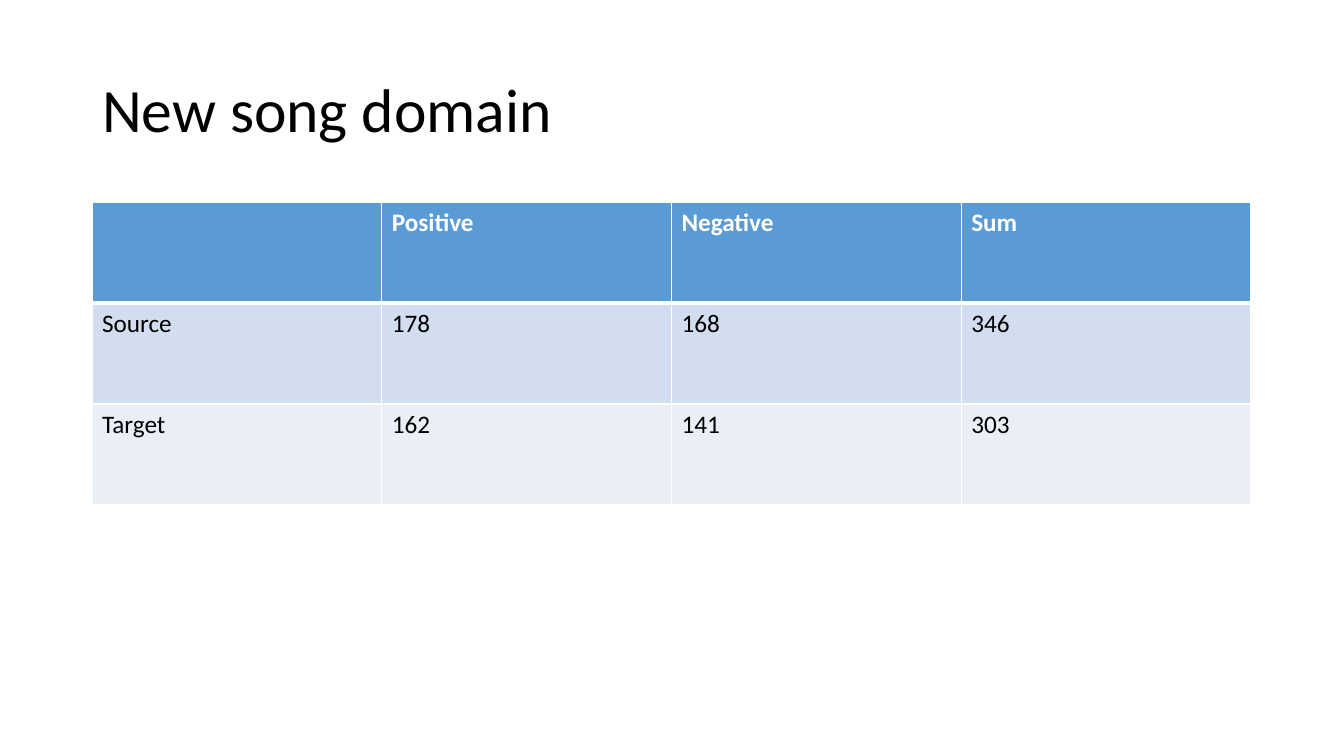
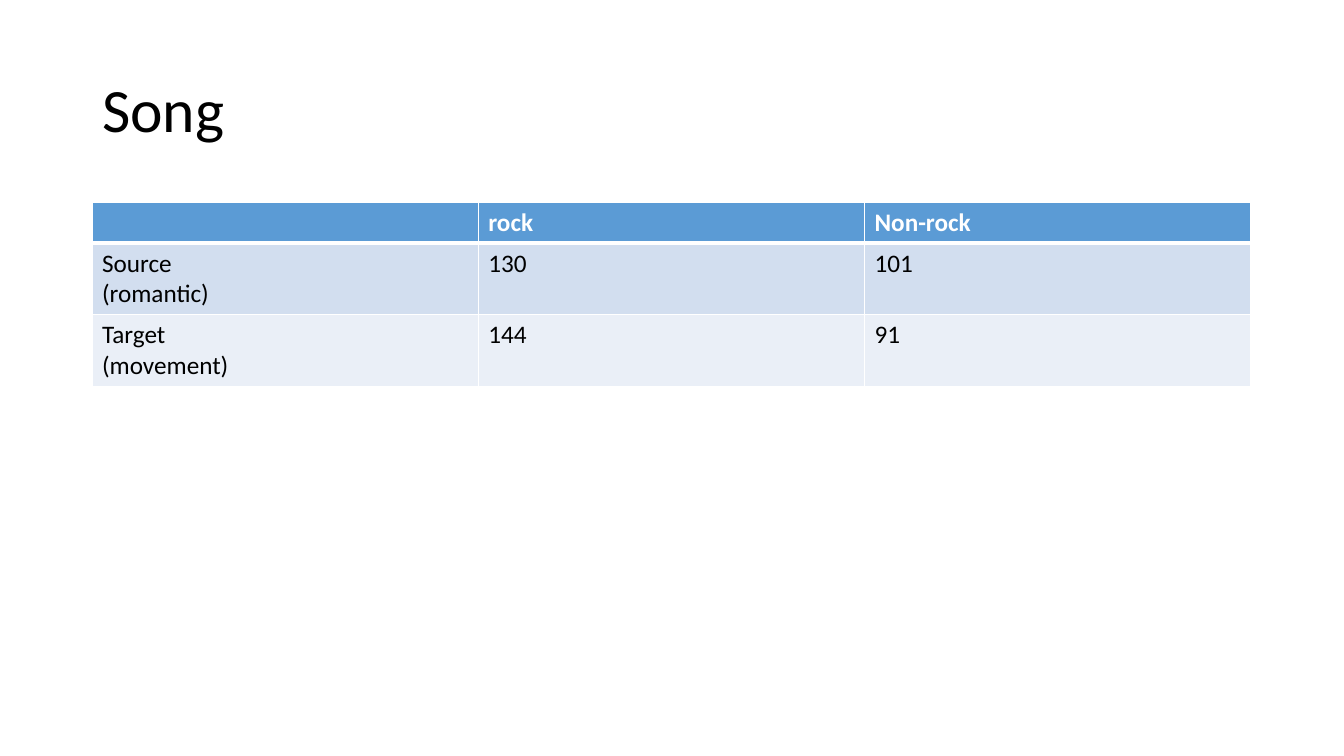
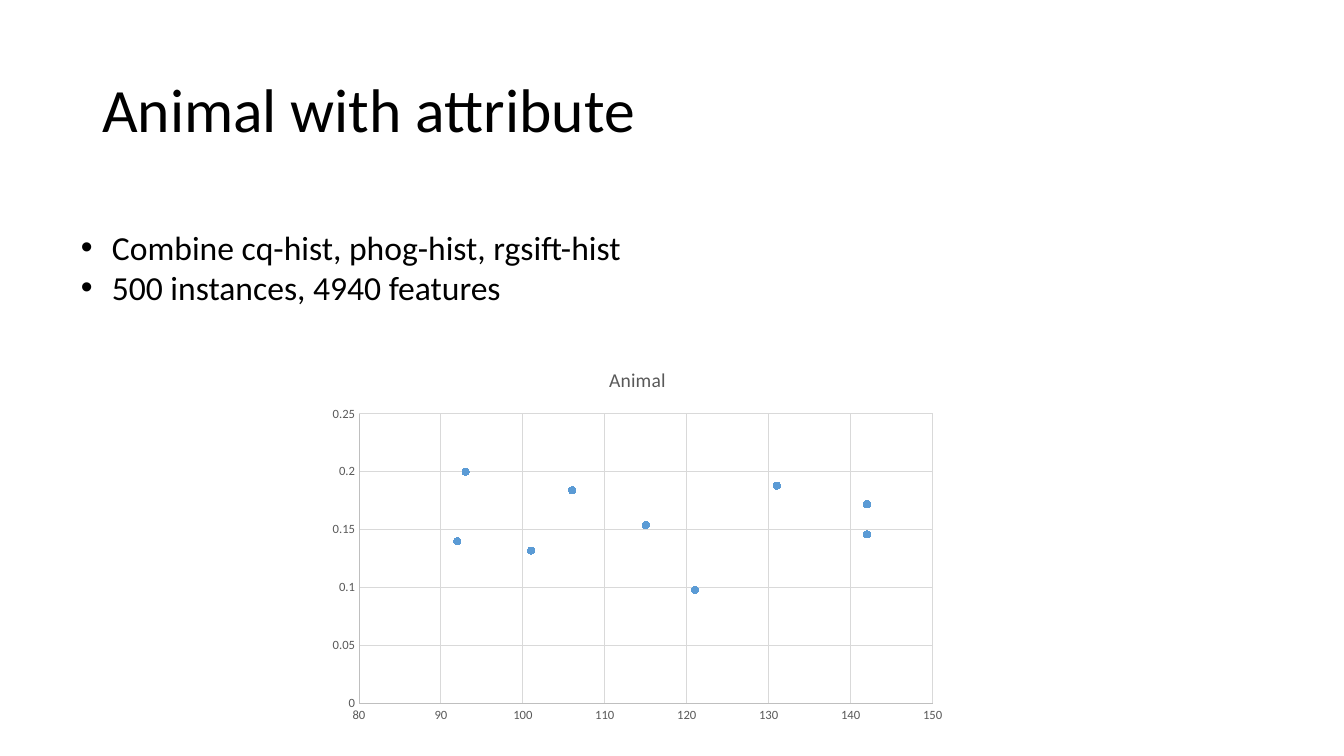
from dataclasses import dataclass
from typing import Any

from lxml.etree import SubElement
from pptx import Presentation
from pptx.chart.axis import _BaseAxis
from pptx.chart.data import XyChartData
from pptx.dml.color import RGBColor
from pptx.enum.chart import XL_CHART_TYPE, XL_MARKER_STYLE, XL_TICK_MARK
from pptx.enum.text import MSO_ANCHOR, MSO_AUTO_SIZE, PP_ALIGN
from pptx.oxml.ns import qn
from pptx.slide import Slide
from pptx.table import _Cell
from pptx.text.text import Font, _Paragraph
from pptx.util import Emu, Pt

EMU_PER_PIXEL = 914400 / 100.8


def px(pixels: float) -> Emu:
    return Emu(round(pixels * EMU_PER_PIXEL))


@dataclass(frozen=True)
class Theme:
    font: str = "Calibri"
    ink: str = "000000"
    paper: str = "FFFFFF"
    accent: str = "5B9BD5"
    bands: tuple[str, str] = ("D2DEEF", "EAEFF7")
    muted: str = "595959"
    axis: str = "BFBFBF"
    grid: str = "D9D9D9"
    title_size: int = 44
    bullet_size: int = 24
    table_size: int = 18
    chart_title_size: int = 14
    tick_size: int = 9
    thin: float = 1
    thick: float = 3
    hairline: float = 0.75


@dataclass(frozen=True)
class Box:
    left: int
    top: int
    width: int
    height: int

    def emu(self) -> tuple[Emu, Emu, Emu, Emu]:
        return px(self.left), px(self.top), px(self.width), px(self.height)


@dataclass(frozen=True)
class CountTable:
    title: str
    row_heights: tuple[int, ...]
    rows: tuple[tuple[str, ...], ...]


THEME = Theme()
TITLE_BOX = Box(92, 40, 1159, 146)
TABLE_LEFT, TABLE_TOP, TABLE_WIDTH = 92, 202, 1159
BULLETS_BOX = Box(71, 222, 566, 92)
BULLET_INDENT = 31
CHART_BOX = Box(320, 350, 635, 380)

COUNT_TABLES = (
    CountTable(
        "New song domain",
        (101, 101, 101),
        (
            ("", "Positive", "Negative", "Sum"),
            ("Source", "178", "168", "346"),
            ("Target", "162", "141", "303"),
        ),
    ),
    CountTable(
        "Song",
        (41, 71, 71),
        (
            ("", "rock", "Non-rock"),
            ("Source\n(romantic)", "130", "101"),
            ("Target\n(movement)", "144", "91"),
        ),
    ),
)
FEATURE_NOTES = ("Combine cq-hist, phog-hist, rgsift-hist", "500 instances, 4940 features")
ANIMAL_POINTS = (
    (115, 0.154), (142, 0.172), (93, 0.2), (142, 0.146), (92, 0.14),
    (106, 0.184), (101, 0.132), (121, 0.098), (131, 0.188),
)


def apply(target: Any, formats: dict[str, Any]) -> None:
    for attribute, value in formats.items():
        setattr(target, attribute, value)


def style_font(font: Font, size: int, color: str, bold: bool = False) -> None:
    apply(font, {"name": THEME.font, "size": Pt(size), "bold": bold})
    font.color.rgb = RGBColor.from_string(color)


def add_titled_slide(deck: Any, title: str) -> Slide:
    slide = deck.slides.add_slide(deck.slide_layouts[5])
    heading = slide.shapes.title
    apply(heading, dict(zip(("left", "top", "width", "height"), TITLE_BOX.emu())))
    frame = heading.text_frame
    frame.text = title
    apply(frame, {"vertical_anchor": MSO_ANCHOR.MIDDLE, "word_wrap": True})
    paragraph = frame.paragraphs[0]
    apply(paragraph, {"alignment": PP_ALIGN.LEFT, "line_spacing": 0.9})
    style_font(paragraph.runs[0].font, THEME.title_size, THEME.ink)
    return slide


def add_borders(cell: _Cell, widths: dict[str, float]) -> None:
    properties = cell._tc.get_or_add_tcPr()
    for side, width in widths.items():
        line = SubElement(properties, qn(f"a:ln{side}"), w=str(Pt(width)))
        fill = SubElement(line, qn("a:solidFill"))
        SubElement(fill, qn("a:srgbClr"), val=THEME.paper)


def style_cell(cell: _Cell, text: str, row: int) -> None:
    header = row == 0
    cell.text = text
    for paragraph in cell.text_frame.paragraphs:
        style_font(paragraph.font, THEME.table_size, THEME.paper if header else THEME.ink, header)
        for run in paragraph.runs:
            style_font(run.font, THEME.table_size, THEME.paper if header else THEME.ink, header)
    add_borders(cell, {
        "L": THEME.thin,
        "R": THEME.thin,
        "T": THEME.thick if row == 1 else THEME.thin,
        "B": THEME.thick if header else THEME.thin,
    })
    cell.fill.solid()
    background = THEME.accent if header else THEME.bands[(row - 1) % 2]
    cell.fill.fore_color.rgb = RGBColor.from_string(background)


def add_count_table(slide: Slide, counts: CountTable) -> None:
    column_count = len(counts.rows[0])
    area = Box(TABLE_LEFT, TABLE_TOP, TABLE_WIDTH, sum(counts.row_heights))
    table = slide.shapes.add_table(len(counts.rows), column_count, *area.emu()).table
    for column in table.columns:
        column.width = px(TABLE_WIDTH / column_count)
    for row, (height, texts) in enumerate(zip(counts.row_heights, counts.rows)):
        table.rows[row].height = px(height)
        for column, text in enumerate(texts):
            style_cell(table.cell(row, column), text, row)


def add_bullet(paragraph: _Paragraph) -> None:
    properties = paragraph._p.get_or_add_pPr()
    indent = px(BULLET_INDENT)
    properties.set("marL", str(indent))
    properties.set("indent", str(-indent))
    SubElement(properties, qn("a:buFont"), typeface="Arial")
    SubElement(properties, qn("a:buChar"), char="•")


def add_feature_notes(slide: Slide) -> None:
    frame = slide.shapes.add_textbox(*BULLETS_BOX.emu()).text_frame
    frame.text = "\n".join(FEATURE_NOTES)
    apply(frame, {"word_wrap": False, "auto_size": MSO_AUTO_SIZE.SHAPE_TO_FIT_TEXT})
    for paragraph in frame.paragraphs:
        add_bullet(paragraph)
        style_font(paragraph.runs[0].font, THEME.bullet_size, THEME.ink)


def style_axis(axis: _BaseAxis, low: float, high: float, step: float) -> None:
    apply(axis, {
        "minimum_scale": low,
        "maximum_scale": high,
        "major_unit": step,
        "major_tick_mark": XL_TICK_MARK.NONE,
        "minor_tick_mark": XL_TICK_MARK.NONE,
        "has_major_gridlines": True,
    })
    apply(axis.tick_labels, {"number_format": "General", "number_format_is_linked": False})
    style_font(axis.tick_labels.font, THEME.tick_size, THEME.muted)
    for line, color in (
        (axis.format.line, THEME.axis),
        (axis.major_gridlines.format.line, THEME.grid),
    ):
        line.width = Pt(THEME.hairline)
        line.color.rgb = RGBColor.from_string(color)


def add_animal_chart(slide: Slide) -> None:
    data = XyChartData()
    points = data.add_series("Series 1")
    for x, y in ANIMAL_POINTS:
        points.add_data_point(x, y)
    chart = slide.shapes.add_chart(XL_CHART_TYPE.XY_SCATTER, *CHART_BOX.emu(), data).chart
    apply(chart, {"has_legend": False, "has_title": True})
    chart.plots[0].vary_by_categories = False
    style_font(chart.font, 10, THEME.ink)
    heading = chart.chart_title.text_frame
    heading.text = "Animal"
    style_font(heading.paragraphs[0].runs[0].font, THEME.chart_title_size, THEME.muted)
    style_axis(chart.category_axis, 80, 150, 10)
    style_axis(chart.value_axis, 0, 0.25, 0.05)
    series = chart.plots[0].series[0]
    series.format.line.fill.background()
    apply(series.marker, {"style": XL_MARKER_STYLE.CIRCLE, "size": 5})
    accent = RGBColor.from_string(THEME.accent)
    series.marker.format.fill.solid()
    series.marker.format.fill.fore_color.rgb = accent
    series.marker.format.line.color.rgb = accent


def main() -> None:
    deck = Presentation()
    apply(deck, {"slide_width": px(1344), "slide_height": px(756)})
    for counts in COUNT_TABLES:
        add_count_table(add_titled_slide(deck, counts.title), counts)
    animal_slide = add_titled_slide(deck, "Animal with attribute")
    add_animal_chart(animal_slide)
    add_feature_notes(animal_slide)
    deck.save("out.pptx")


main()
